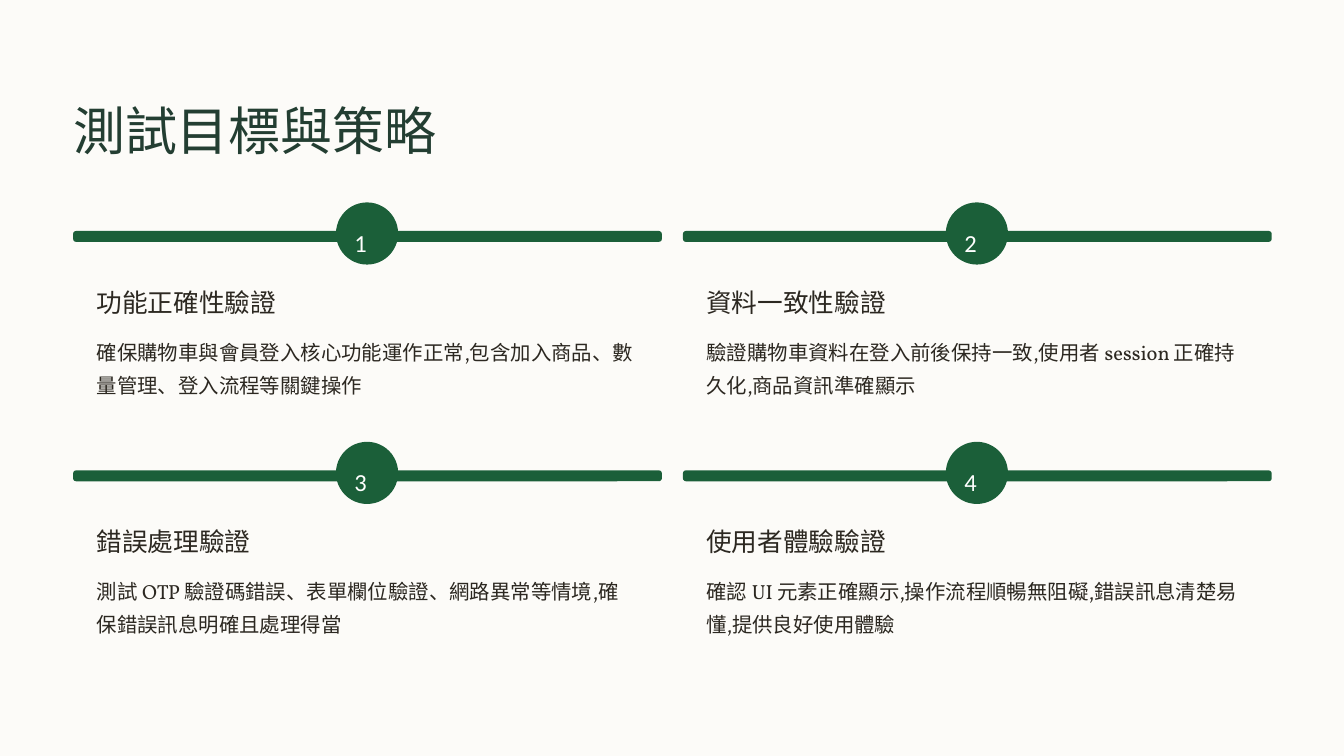
from pptx import Presentation
from pptx.dml.color import RGBColor
from pptx.enum import shapes, text
from pptx.util import Inches, Pt

COLORS = {"paper": "FCFBF8", "green": "1B5F39", "title": "233E32",
          "ink": "2C2821", "white": "FFFFFF"}
GOALS = [
    ("功能正確性驗證", "確保購物車與會員登入核心功能運作正常,包含加入商品、數量管理、登入流程等關鍵操作"),
    ("資料一致性驗證", "驗證購物車資料在登入前後保持一致,使用者 session 正確持久化,商品資訊準確顯示"),
    ("錯誤處理驗證", "測試 OTP 驗證碼錯誤、表單欄位驗證、網路異常等情境,確保錯誤訊息明確且處理得當"),
    ("使用者體驗驗證", "確認 UI 元素正確顯示,操作流程順暢無阻礙,錯誤訊息清楚易懂,提供良好使用體驗"),
]
LEFT, TOP = 0.87, 2.41
COLUMN_STEP, ROW_STEP = 7.26, 2.85

prs = Presentation()
prs.slide_width, prs.slide_height = Inches(16), Inches(9)
slide = prs.slides.add_slide(prs.slide_layouts[5])
slide.background.fill.solid()
slide.background.fill.fore_color.rgb = RGBColor.from_string(COLORS["paper"])


def write(holder, words, box, size, leading, color, font="Calibri", wrap=False):
    holder.left, holder.top, holder.width, holder.height = map(Inches, box)
    frame = holder.text_frame
    frame.text = words
    frame.margin_left = frame.margin_top = frame.margin_right = frame.margin_bottom = 0
    frame.auto_size = text.MSO_AUTO_SIZE.NONE
    frame.vertical_anchor = text.MSO_ANCHOR.TOP
    frame.word_wrap = wrap
    paragraph = frame.paragraphs[0]
    paragraph.alignment = text.PP_ALIGN.LEFT
    paragraph.line_spacing = Pt(leading)
    paragraph.font.size = Pt(size)
    paragraph.font.name = font
    paragraph.font.color.rgb = RGBColor.from_string(COLORS[color])


def draw(kind, box, color, rounding=None):
    shape = slide.shapes.add_shape(kind, *map(Inches, box))
    shape.shadow.inherit = False
    shape.fill.solid()
    shape.fill.fore_color.rgb = RGBColor.from_string(COLORS[color])
    shape.line.fill.background()
    if rounding is not None:
        shape.adjustments[0] = rounding


write(slide.shapes.title, "測試目標與策略", (LEFT, 1.14, 6.2, 0.78), 44.5, 55.5, "title")

rounded, oval = shapes.MSO_SHAPE.ROUNDED_RECTANGLE, shapes.MSO_SHAPE.OVAL
for index, (heading, detail) in enumerate(GOALS):
    row, column = divmod(index, 2)
    x = LEFT + column * COLUMN_STEP
    y = TOP + row * ROW_STEP
    draw(rounded, (x, y + 0.37, 7.01, 2.23), "paper", 0.07)
    draw(rounded, (x, y + 0.34, 7.01, 0.13), "green", 0.28)
    draw(oval, (x + 3.13, y, 0.74, 0.74), "green")
    labels = [
        (str(index + 1), (x + 3.35, y + 0.18, 0.3, 0.37), 21, 34, "white"),
        (heading, (x + 0.28, y + 0.99, 3.1, 0.39), 22, 27.5, "ink"),
        (detail, (x + 0.28, y + 1.53, 6.45, 0.79), 17.5, 28.5, "ink", "Vollkorn", True),
    ]
    for label in labels:
        write(slide.shapes.add_textbox(0, 0, 0, 0), *label)

prs.save("out.pptx")
